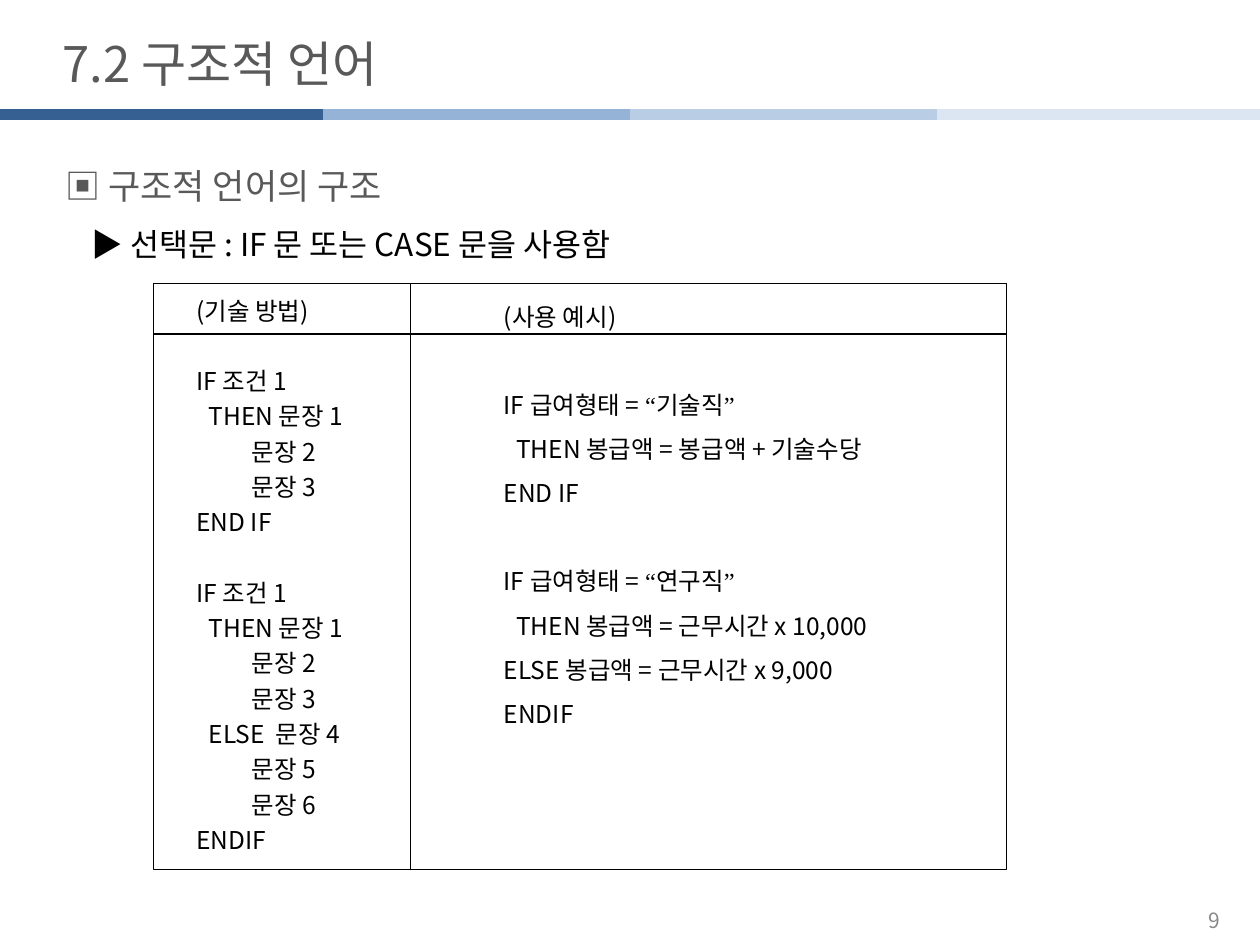
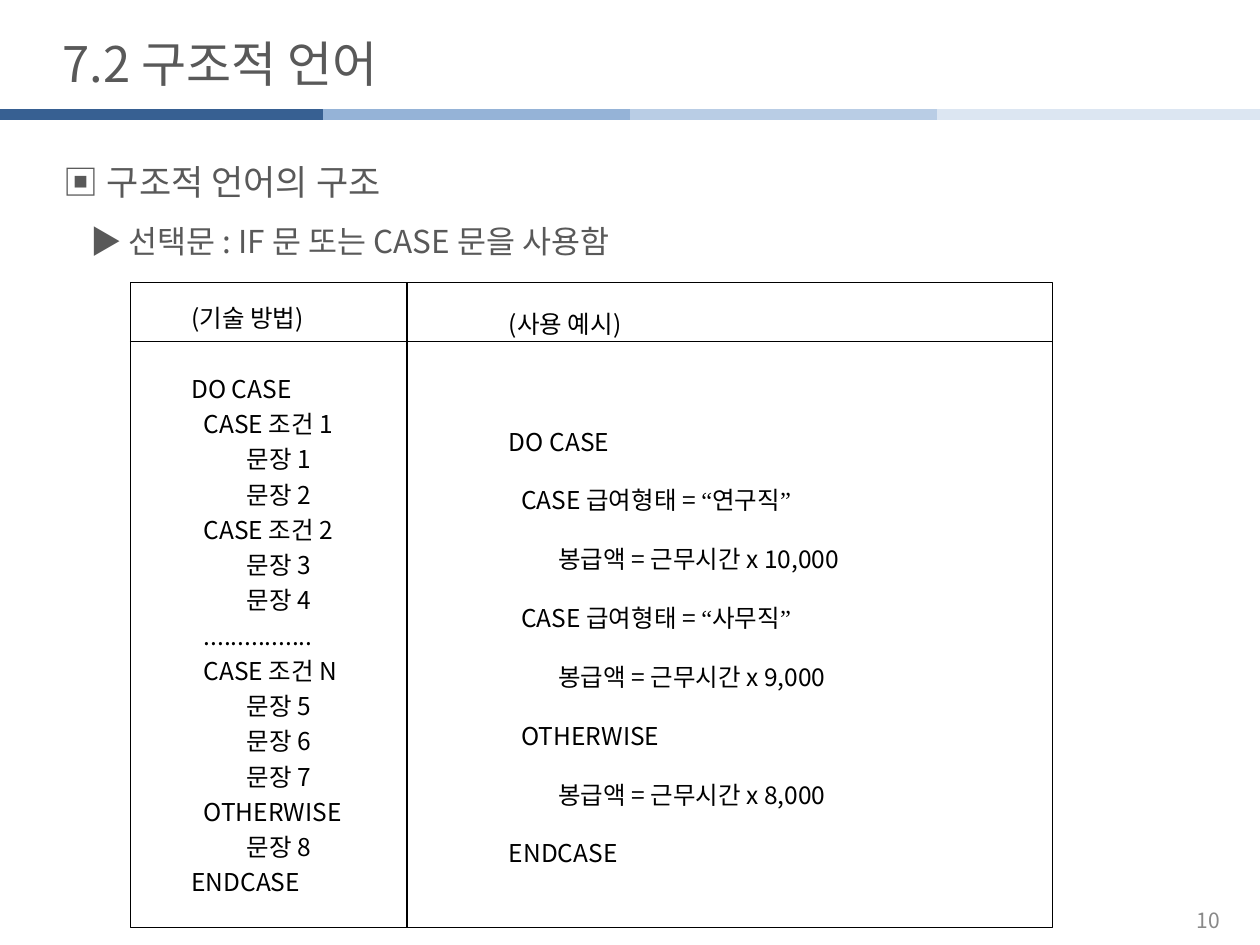
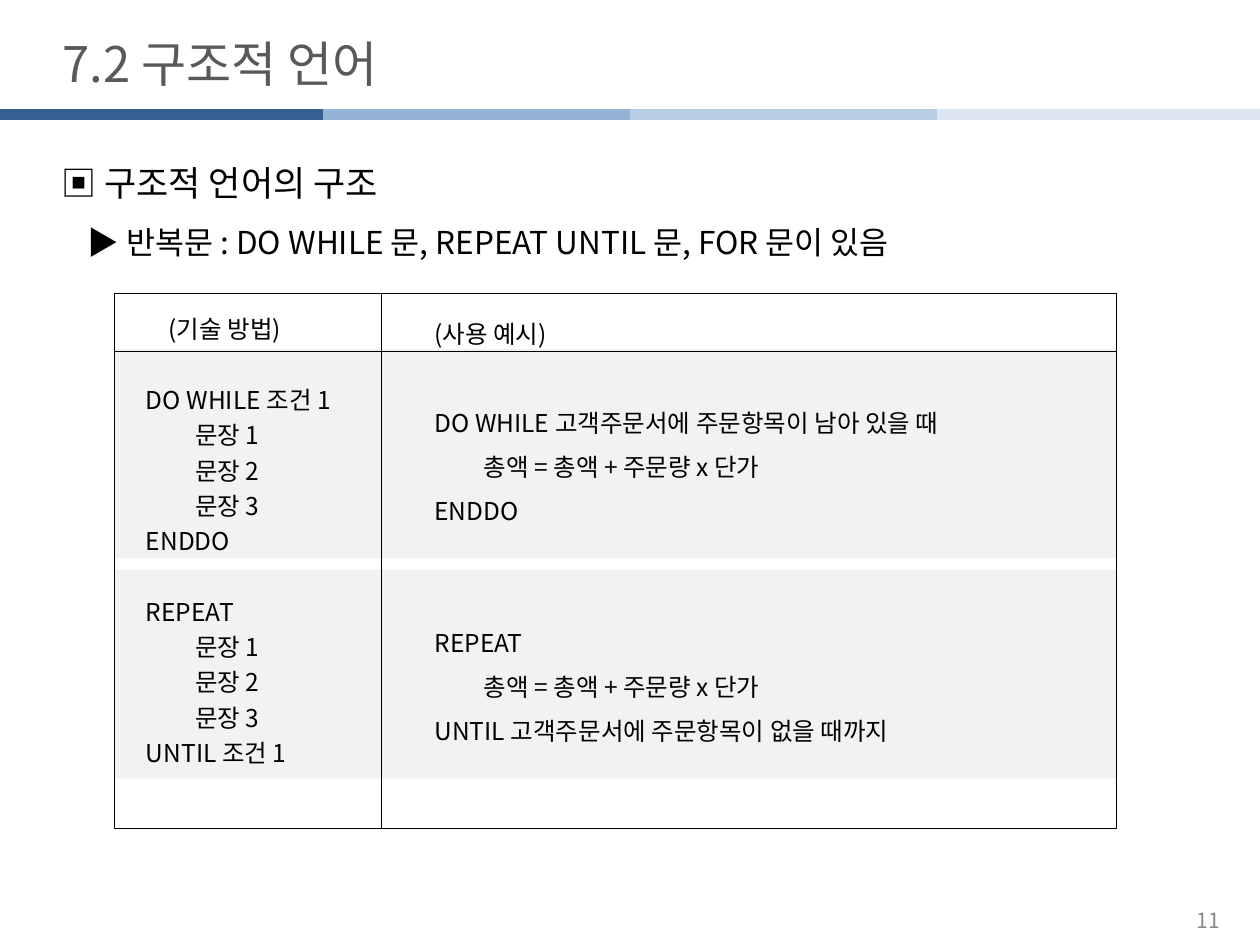
from dataclasses import dataclass
from itertools import groupby

from lxml.etree import SubElement as SubEl
from pptx import Presentation as Deck
from pptx.dml.color import RGBColor as Rgb
from pptx.enum.shapes import MSO_CONNECTOR as Conn, MSO_SHAPE as Shape
from pptx.enum.text import MSO_ANCHOR as Anchor, PP_ALIGN as Align
from pptx.oxml.ns import qn
from pptx.util import Inches, Pt


@dataclass(frozen=True)
class Theme:
    """Colours, fonts and type sizes of the deck."""
    sans: str = "Noto Sans CJK KR"
    serif: str = "Times New Roman"
    ink: str = "000000"
    gray: str = "595959"
    pale: str = "898989"
    shade: str = "F2F2F2"
    bands: tuple = ("376092", "95B3D7", "B9CDE5", "DCE6F2")
    title: int = 28
    head: int = 20
    sub: int = 18
    code: int = 14
    page: int = 12
    pitch: float = 1.2


LOOK = Theme()
NBSP = chr(160)
TITLE = "7.2 구조적 언어"
TOPIC = "▣ 구조적 언어의 구조"
CHOICE = "▶ 선택문 : IF 문 또는 CASE 문을 사용함"
LOOP = "▶ 반복문 : DO WHILE 문, REPEAT UNTIL 문, FOR 문이 있음"

IF_FORM = """(기술 방법)

IF 조건 1
  THEN 문장 1
         문장 2
         문장 3
END IF

IF 조건 1
  THEN 문장 1
         문장 2
         문장 3
  ELSE  문장 4
         문장 5
         문장 6
ENDIF"""

IF_CASE = """(사용 예시)

IF 급여형태 = “기술직”
  THEN 봉급액 = 봉급액 + 기술수당
END IF

IF 급여형태 = “연구직”
  THEN 봉급액 = 근무시간 x 10,000
ELSE 봉급액 = 근무시간 x 9,000
ENDIF"""

DO_FORM = """(기술 방법)

DO CASE
  CASE 조건 1
         문장 1
         문장 2
  CASE 조건 2
         문장 3
         문장 4
  ................
  CASE 조건 N
         문장 5
         문장 6
         문장 7
  OTHERWISE
         문장 8
ENDCASE"""

DO_CASE = """(사용 예시)

DO CASE
  CASE 급여형태 = “연구직”
        봉급액 = 근무시간 x 10,000
  CASE 급여형태 = “사무직”
        봉급액 = 근무시간 x 9,000
  OTHERWISE
        봉급액 = 근무시간 x 8,000
ENDCASE"""

LOOP_FORM = """(기술 방법)

DO WHILE 조건 1
        문장 1
        문장 2
        문장 3
ENDDO

REPEAT
        문장 1
        문장 2
        문장 3
UNTIL 조건 1"""

LOOP_CASE = """(사용 예시)

DO WHILE 고객주문서에 주문항목이 남아 있을 때
        총액 = 총액 + 주문량 x 단가
ENDDO


REPEAT
        총액 = 총액 + 주문량 x 단가
UNTIL 고객주문서에 주문항목이 없을 때까지"""

PAGES = (
    dict(page=9, lead=(0.42, 1.09), sub=CHOICE, inks=(LOOK.gray, LOOK.ink),
         box=(1.22, 2.25, 6.77, 4.65), split=2.04, top=0.4,
         cols=((IF_FORM, 0.24, 0, 1.2, 0), (IF_CASE, 2.68, -0.02, 1.5, 0))),
    dict(page=10, lead=(0.41, 1.06), sub=CHOICE, inks=(LOOK.gray, LOOK.gray),
         box=(1.03, 2.24, 7.32, 5.12), split=2.2, top=0.47,
         cols=((DO_FORM, 0.39, 0.07, 1.2, 0), (DO_CASE, 2.91, -0.07, 2, 0))),
    dict(page=11, lead=(0.39, 1.07), sub=LOOP, inks=(LOOK.ink, LOOK.ink),
         box=(0.91, 2.33, 7.95, 4.24), split=2.12, top=0.46,
         cols=((LOOP_FORM, 0.15, 0.07, 1.2, 0.18), (LOOP_CASE, 2.44, 0.04, 1.5, 0)),
         rows=(0.44, 2.19)),
)


def style(item, form):
    """Set each format value on the item."""
    for key, val in form.items():
        setattr(item, key, val)


def write(para, text, size, ink, face=LOOK.sans):
    """Add one run of text to a paragraph."""
    run = para.add_run()
    run.text = text
    style(run.font, dict(size=Pt(size), name=face))
    run.font.color.rgb = Rgb.from_string(ink)
    SubEl(run.font._element, qn("a:ea")).set("typeface", face)


def frame(slide, box, anchor=Anchor.TOP):
    """Add a wrapping text frame in the box."""
    text = slide.shapes.add_textbox(*map(Inches, box)).text_frame
    style(text, dict(word_wrap=True, vertical_anchor=anchor))
    return text


def rule(slide, start, end, ink=LOOK.ink, width=0.75):
    """Draw a straight line between two points."""
    line = slide.shapes.add_connector(Conn.STRAIGHT, *map(Inches, (*start, *end)))
    line.line.color.rgb = Rgb.from_string(ink)
    line.line.width = Pt(width)
    SubEl(line._element.spPr, qn("a:effectLst"))


def panel(slide, box, fill=None):
    """Draw a filled panel, or a thin outline if no fill is given."""
    item = slide.shapes.add_shape(Shape.RECTANGLE, *map(Inches, box))
    item.shadow.inherit = False
    if fill:
        item.fill.solid()
        item.fill.fore_color.rgb = Rgb.from_string(fill)
        item.line.fill.background()
    else:
        item.fill.background()
        item.line.color.rgb = Rgb.from_string(LOOK.ink)
        item.line.width = Pt(0.25)


def chrome(slide, page):
    """Place the bands, title and page number."""
    for left, ink in zip((0, 2.56, 5, 7.44), LOOK.bands):
        rule(slide, (left, 0.91), (left + 2.56, 0.91), ink, 6)
    title = frame(slide, (0.4, 0.22, 8.27, 0.6))
    write(title.paragraphs[0], TITLE, LOOK.title, LOOK.gray)
    para = frame(slide, (9.1, 7.11, 0.68, 0.39), Anchor.MIDDLE).paragraphs[0]
    para.alignment = Align.RIGHT
    write(para, str(page), LOOK.page, LOOK.pale)


def indent(para, left):
    """Set the left margin of a paragraph."""
    para._p.get_or_add_pPr().set("marL", str(Inches(left)))


def topic(slide, box, sub, inks):
    """Write the topic and its indented point."""
    text = frame(slide, box)
    first, second = text.paragraphs[0], text.add_paragraph()
    indent(second, 0.21)
    for para, words, size, ink in zip((first, second), (TOPIC, sub),
                                      (LOOK.head, LOOK.sub), inks):
        para.line_spacing = 1.5
        write(para, words, size, ink)


def listing(slide, spot, width, code, space, inset):
    """Write a heading and code, with gaps where the code has empty lines."""
    lines = code.splitlines()
    step = LOOK.code * LOOK.pitch * space
    text = frame(slide, (*spot, width, round(len(lines) * step / 72 + 0.1, 2)))
    para, gap = text.paragraphs[0], 0
    indent(para, inset)
    for order, line in enumerate(lines):
        if not line:
            gap += 1
            continue
        if order:
            para = text.add_paragraph()
        para.line_spacing = space
        if gap:
            para.space_before = Pt(round(gap * step, 1))
        gap, bare = 0, line.lstrip()
        full = NBSP * (len(line) - len(bare)) + bare
        for serif, part in groupby(full, lambda mark: mark in NBSP + "“”"):
            write(para, "".join(part), LOOK.code, LOOK.ink,
                  LOOK.serif if serif else LOOK.sans)


def grid(slide, box, split, top, cols, rows=()):
    """Draw the two-column grid with its shaded rows and listings."""
    left, head, width, height = box
    for drop in rows:
        panel(slide, (left, head + drop, width, 1.66), LOOK.shade)
    for (code, dx, dy, space, inset), edge in zip(cols, (split, width)):
        listing(slide, (left + dx, head + dy), edge - dx, code, space, inset)
    panel(slide, box)
    rule(slide, (left, head + top), (left + width, head + top))
    rule(slide, (left + split, head), (left + split, head + height))


def build(deck, page, lead, sub, inks, **parts):
    """Build one slide from its parts."""
    slide = deck.slides.add_slide(deck.slide_layouts[6])
    chrome(slide, page)
    topic(slide, (*lead, 8.83, 1.17), sub, inks)
    grid(slide, **parts)


def main():
    """Build and save the deck."""
    deck = Deck()
    style(deck, dict(slide_width=Inches(10), slide_height=Inches(7.5)))
    for page in PAGES:
        build(deck, **page)
    deck.save("out.pptx")


if __name__ == "__main__":
    main()
